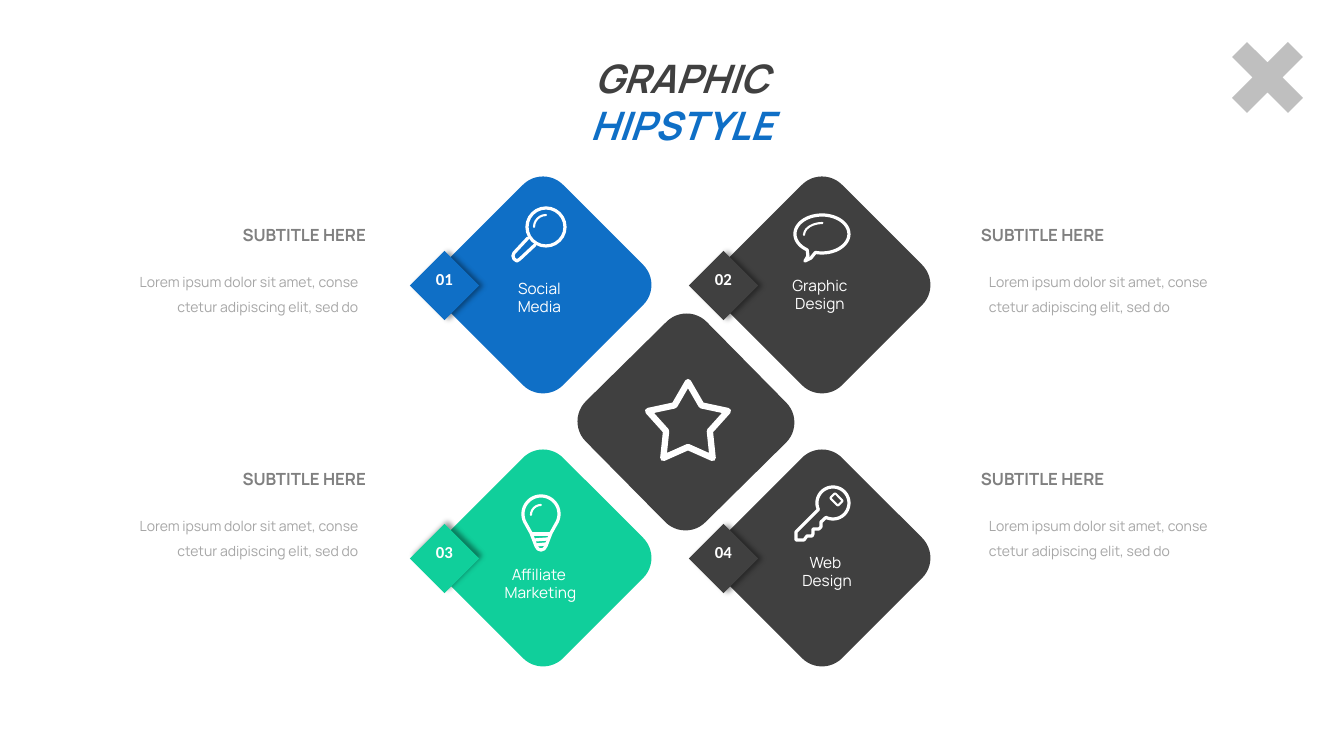
import math
from dataclasses import dataclass
from typing import NamedTuple

from lxml import etree
from pptx import Presentation
from pptx import util as u
from pptx.dml.color import RGBColor
from pptx.enum import shapes, text
from pptx.oxml.ns import qn

EMU_PER_PX = 914400 / 100.8
COLORS = {"white": "FFFFFF", "dark": "404040", "blue": "0F6FC6", "green": "10CF9B",
          "cross": "BFBFBF", "subtitle": "808080", "body": "A6A6A6"}
KIND = shapes.MSO_SHAPE
ALIGN = text.PP_ALIGN
BODY_TEXT = "Lorem ipsum dolor sit amet, conse ctetur adipiscing elit, sed do"
DIAMOND, TAG = 170, 49
THICK, THIN = 2.3, 1.5

Points = list[tuple[float, float]]


class Box(NamedTuple):
    left: int
    top: int
    width: int
    height: int


@dataclass
class Topic:
    number: str
    caption: str
    color: str
    left: int
    top: int
    caption_box: Box
    shadow_angle: int = 0


@dataclass
class Note:
    subtitle_box: Box
    body_box: Box
    align: ALIGN


TOPICS = [
    Topic("02", "Graphic\nDesign", "dark", 737, 200, Box(780, 271, 80, 46)),
    Topic("04", "Web \nDesign", "dark", 737, 473, Box(790, 548, 74, 46)),
    Topic("03", "Affiliate \nMarketing", "green", 458, 473, Box(492, 560, 97, 46), 315),
    Topic("01", "Social\nMedia", "blue", 458, 200, Box(506, 274, 67, 46)),
]
NOTES = [
    Note(Box(left, top, 165, 30), Box(body_left, top + 40, 273, 60), align)
    for left, body_left, align in ((971, 979, ALIGN.LEFT), (211, 95, ALIGN.RIGHT))
    for top in (220, 464)
]


def px(value: float) -> u.Emu:
    return u.Emu(round(value * EMU_PER_PX))


def rgb(name: str) -> RGBColor:
    return RGBColor.from_string(COLORS[name])


def add_block(slide, kind: KIND, box: Box, color: str, rotation: float = 0):
    shape = slide.shapes.add_shape(kind, *map(px, box))
    shape.rotation = rotation
    shape.shadow.inherit = False
    shape.fill.solid()
    shape.fill.fore_color.rgb = rgb(color)
    shape.line.fill.background()
    return shape


def add_tag_shadow(shape, angle: int) -> None:
    effects = shape._element.spPr.find(qn("a:effectLst"))
    shadow = etree.SubElement(effects, qn("a:outerShdw"), blurRad=str(u.Pt(4)),
                              dist=str(u.Pt(3)), dir=str(angle * 60000), rotWithShape="0")
    black = etree.SubElement(shadow, qn("a:srgbClr"), val="000000")
    etree.SubElement(black, qn("a:alpha"), val="40000")


def add_text(slide, box: Box, words: str, size: int, color: str, align: ALIGN,
             font: str = "Manrope", bold: bool = False, wrap: bool = False,
             spacing: float = 1.0) -> None:
    frame = slide.shapes.add_textbox(*map(px, box)).text_frame
    frame.word_wrap = wrap
    frame.text = words
    for paragraph in frame.paragraphs:
        paragraph.alignment = align
        paragraph.line_spacing = spacing
        for run in paragraph.runs:
            run.font.name, run.font.size, run.font.bold = font, u.Pt(size), bold
            run.font.color.rgb = rgb(color)


# Icon strokes
def style_stroke(shape, width: float) -> None:
    shape.line.color.rgb = rgb("white")
    shape.line.width = u.Pt(width)
    line = shape.line._get_or_add_ln()
    line.set("cap", "rnd")
    etree.SubElement(line, qn("a:round"))


def add_outline(slide, points: Points, width: float = THICK, close: bool = True) -> None:
    corners = [(px(x), px(y)) for x, y in points]
    builder = slide.shapes.build_freeform(*corners[0], scale=1.0)
    builder.add_line_segments(corners[1:], close=close)
    shape = builder.convert_to_shape()
    shape.shadow.inherit = False
    shape.fill.background()
    style_stroke(shape, width)


def add_preset_outline(slide, kind: KIND, box: Box, width: float, rotation: float = 0):
    shape = add_block(slide, kind, box, "white", rotation)
    shape.fill.background()
    style_stroke(shape, width)
    return shape


def add_glint(slide, box: Box) -> None:
    arc = add_preset_outline(slide, KIND.ARC, box, THIN)
    for index, angle in enumerate((180, 270)):
        arc.adjustments[index] = angle * 0.6


def ellipse_points(x: float, y: float, rx: float, ry: float, start: int, end: int) -> Points:
    angles = [math.radians(start + (end - start) * step / 60) for step in range(61)]
    return [(x + rx * math.cos(a), y + ry * math.sin(a)) for a in angles]


def draw_magnifier(slide) -> None:
    add_preset_outline(slide, KIND.OVAL, Box(527, 208, 38, 38), THICK)
    add_outline(slide, [(528, 238), (514, 253), (513, 256), (514, 259), (517, 261),
                        (520, 259), (535, 245)], close=False)
    add_glint(slide, Box(534, 215, 24, 24))


def draw_bubble(slide) -> None:
    tail = [(811, 258), (805, 261), (808, 256)]
    add_outline(slide, ellipse_points(822, 234, 27, 19, 123, 464) + tail)
    add_glint(slide, Box(804, 223, 37, 24))


def draw_bulb(slide) -> None:
    base = [(551, 533), (546, 546), (544, 549), (541, 550), (538, 549), (536, 546), (531, 533)]
    add_outline(slide, ellipse_points(541, 514, 18, 18, 150, 390) + base)
    for x1, y1, x2, y2 in ((532, 534, 550, 534), (534, 540, 548, 539), (536, 545, 546, 544)):
        thread = slide.shapes.add_connector(shapes.MSO_CONNECTOR.STRAIGHT,
                                            px(x1), px(y1), px(x2), px(y2))
        style_stroke(thread, THICK)
        etree.SubElement(thread._element.spPr, qn("a:effectLst"))
    add_glint(slide, Box(531, 505, 20, 20))


def draw_key(slide) -> None:
    blade = [(796, 532), (796, 540), (804, 540), (807, 536), (812, 536), (813, 534),
             (813, 529), (819, 529), (821, 527), (821, 522)]
    add_outline(slide, ellipse_points(833, 503, 16, 16, 116, -204) + blade)
    add_preset_outline(slide, KIND.ROUNDED_RECTANGLE, Box(831, 496, 11, 7), THIN, 45)


def draw_star(slide) -> None:
    points = []
    for step in range(10):
        radius, angle = (23 if step % 2 else 42), math.radians(36 * step - 90)
        points.append((688 + radius * math.cos(angle), 424 + radius * math.sin(angle)))
    add_outline(slide, points, 4.5)


def add_title(slide) -> None:
    title = slide.shapes.title
    title.left, title.top, title.width, title.height = map(px, Box(492, 49, 379, 104))
    frame = title.text_frame
    frame.auto_size = text.MSO_AUTO_SIZE.NONE
    frame.vertical_anchor = text.MSO_ANCHOR.TOP
    frame.word_wrap = True
    paragraph = frame.paragraphs[0]
    paragraph.alignment = ALIGN.CENTER
    for words, color in (("GRAPHIC", "dark"), (" HIPSTYLE", "blue")):
        run = paragraph.add_run()
        run.text = words
        run.font.name, run.font.size = "Manrope", u.Pt(28)
        run.font.bold = run.font.italic = True
        run.font.color.rgb = rgb(color)


def main() -> None:
    presentation = Presentation()
    presentation.slide_width, presentation.slide_height = px(1344), px(756)
    slide = presentation.slides.add_slide(presentation.slide_layouts[5])

    # Heading and corner cross
    add_title(slide)
    cross = add_block(slide, KIND.CROSS, Box(1228, 38, 79, 79), "cross", 45)
    cross.adjustments[0] = 0.366

    # Diamonds with numbered tags
    for topic in TOPICS:
        left, top = topic.left, topic.top
        add_block(slide, KIND.ROUNDED_RECTANGLE, Box(left, top, DIAMOND, DIAMOND), topic.color, 45)
        tag = add_block(slide, KIND.RECTANGLE, Box(left - 38, top + 61, TAG, TAG), topic.color, 45)
        add_tag_shadow(tag, topic.shadow_angle)
        add_text(slide, Box(left - 35, top + 64, 43, 30), topic.number, 12, "white",
                 ALIGN.CENTER, font="Calibri", bold=True)
        add_text(slide, topic.caption_box, topic.caption, 11, "white", ALIGN.CENTER)
    add_block(slide, KIND.ROUNDED_RECTANGLE, Box(601, 337, DIAMOND, DIAMOND), "dark", 45.4)

    # Icons
    for draw_icon in (draw_magnifier, draw_bubble, draw_bulb, draw_key, draw_star):
        draw_icon(slide)

    # Side notes
    for note in NOTES:
        add_text(slide, note.subtitle_box, "SUBTITLE HERE", 12, "subtitle", note.align, bold=True)
        add_text(slide, note.body_box, BODY_TEXT, 10, "body", note.align, wrap=True, spacing=1.5)

    presentation.save("out.pptx")


if __name__ == "__main__":
    main()
